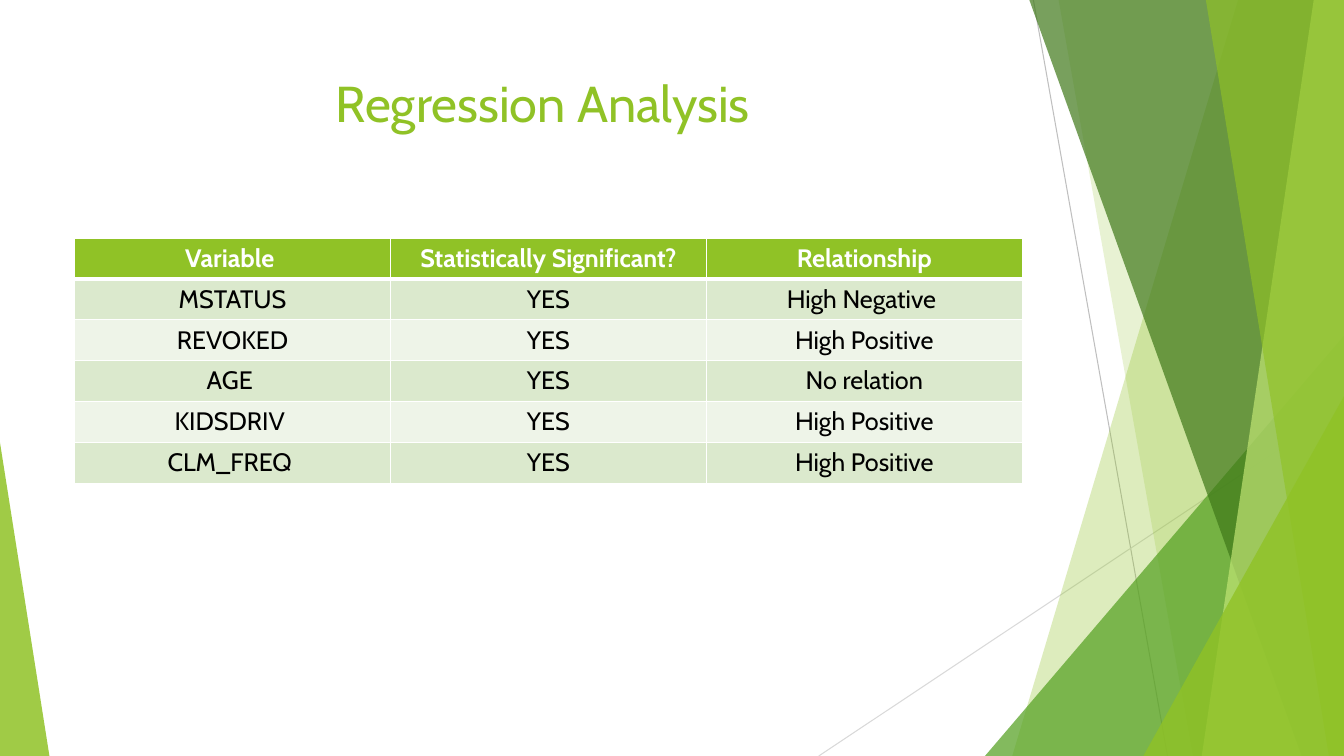
"""Build the Regression Analysis slide: a variable table framed by green facets."""
from dataclasses import dataclass

from lxml import etree
from pptx import Presentation, util as u
from pptx.dml.color import RGBColor
from pptx.enum import shapes, text
from pptx.oxml import ns


@dataclass(frozen=True)
class Theme:
    font: str = "Cabin"
    title_size: int = 36
    table_size: int = 18
    lime: str = "90C226"
    green: str = "54A021"
    forest: str = "3F7819"
    pale: str = "C0E474"
    odd_row: str = "DBE9CD"
    even_row: str = "EEF4E8"
    white: str = "FFFFFF"
    black: str = "000000"
    dark_line: str = "BFBFBF"
    light_line: str = "D9D9D9"


def paint(fill, color, opacity=100):
    fill.solid()
    fill.fore_color.rgb = RGBColor.from_string(color)
    if opacity < 100:
        srgb = fill._xPr.find(".//" + ns.qn("a:srgbClr"))
        etree.SubElement(srgb, ns.qn("a:alpha"), val=str(opacity * 1000))


def style(p, size, color, bold=False):
    p.alignment = text.PP_ALIGN.CENTER
    for r in p.runs:
        r.font.name, r.font.size, r.font.bold = theme.font, u.Pt(size), bold
        r.font.color.rgb = RGBColor.from_string(color)


theme = Theme()
prs = Presentation()
prs.slide_width, prs.slide_height = u.Inches(13.33), u.Inches(7.5)
col, row = prs.slide_width / 100, prs.slide_height / 100
s = prs.slides.add_slide(prs.slide_layouts[5])

for x1, y1, x2, y2, color in [
    (76.89, 0, 86.87, 100, theme.dark_line),
    (100, 53.73, 60.92, 100, theme.light_line),
]:
    line = s.shapes.add_connector(
        shapes.MSO_CONNECTOR.STRAIGHT,
        int(x1 * col), int(y1 * row), int(x2 * col), int(y2 * row))
    line.line.width = u.Pt(0.75)
    line.line.color.rgb = RGBColor.from_string(color)
    etree.SubElement(line._element.spPr, ns.qn("a:effectLst"))

# fmt: off
facets = [
    ((92.12, 75.32), theme.lime, 30),
    ((78.77, 88.75), theme.lime, 20),
    ((73.29, 44.4, 100, 1), theme.green, 72),
    ((76.59, 96.85), theme.forest, 70),
    ((97.75, 89.42), theme.pale, 70),
    ((89.72, 98.87), theme.lime, 65),
    ((85.07, 52.4, 100, 1), theme.lime, 80),
    ((0, 58.53, 3.68, 0), theme.lime, 85),
]
for outline, color, opacity in facets:
    if len(outline) == 2:
        top_x, bottom_x = outline
        fb = s.shapes.build_freeform(int(top_x * col), 0)
        fb.add_line_segments([(int(x * col), int(y * row)) for x, y in
                              [(100, 0), (100, 100), (bottom_x, 100)]])
        sp = fb.convert_to_shape()
    else:
        left, top, right, apex = outline
        sp = s.shapes.add_shape(
            shapes.MSO_SHAPE.ISOSCELES_TRIANGLE, int(left * col), int(top * row),
            int((right - left) * col), int((100 - top) * row))
        sp.adjustments[0] = apex
    sp.shadow.inherit = False
    sp.line.fill.background()
    paint(sp.fill, color, opacity)

title = s.shapes.title
title.left, title.top = int(5.55 * col), int(8.93 * row)
title.width, title.height = int(70.52 * col), int(19.2 * row)
tf = title.text_frame
tf.text = "Regression Analysis "
tf.word_wrap = True
tf.auto_size = text.MSO_AUTO_SIZE.NONE
tf.vertical_anchor = text.MSO_ANCHOR.TOP
style(tf.paragraphs[0], theme.title_size, theme.lime)
s.shapes._spTree.append(title._element)

rows = [
    ("Variable ", "Statistically Significant?", "Relationship"),
    ("MSTATUS", "YES", "High Negative "),
    ("REVOKED", "YES", "High Positive"),
    ("AGE ", "YES", "No relation"),
    ("KIDSDRIV ", "YES", "High Positive"),
    ("CLM_FREQ ", "YES", "High Positive"),
]
table = s.shapes.add_table(
    len(rows), len(rows[0]), title.left, int(31.47 * row),
    title.width, int(32.4 * row)).table
for i, values in enumerate(rows):
    header = i == 0
    band = theme.lime if header else theme.odd_row if i % 2 else theme.even_row
    for j, value in enumerate(values):
        cell = table.cell(i, j)
        cell.text = value
        style(cell.text_frame.paragraphs[0], theme.table_size,
              theme.white if header else theme.black, header)
        for side in "LRTB":
            thick = header and side == "B" or i == 1 and side == "T"
            ln = etree.SubElement(cell._tc.get_or_add_tcPr(), ns.qn("a:ln" + side),
                                  w=str(u.Pt(3 if thick else 1)))
            solid = etree.SubElement(ln, ns.qn("a:solidFill"))
            etree.SubElement(solid, ns.qn("a:srgbClr"), val=theme.white)
        paint(cell.fill, band)

prs.save("out.pptx")
